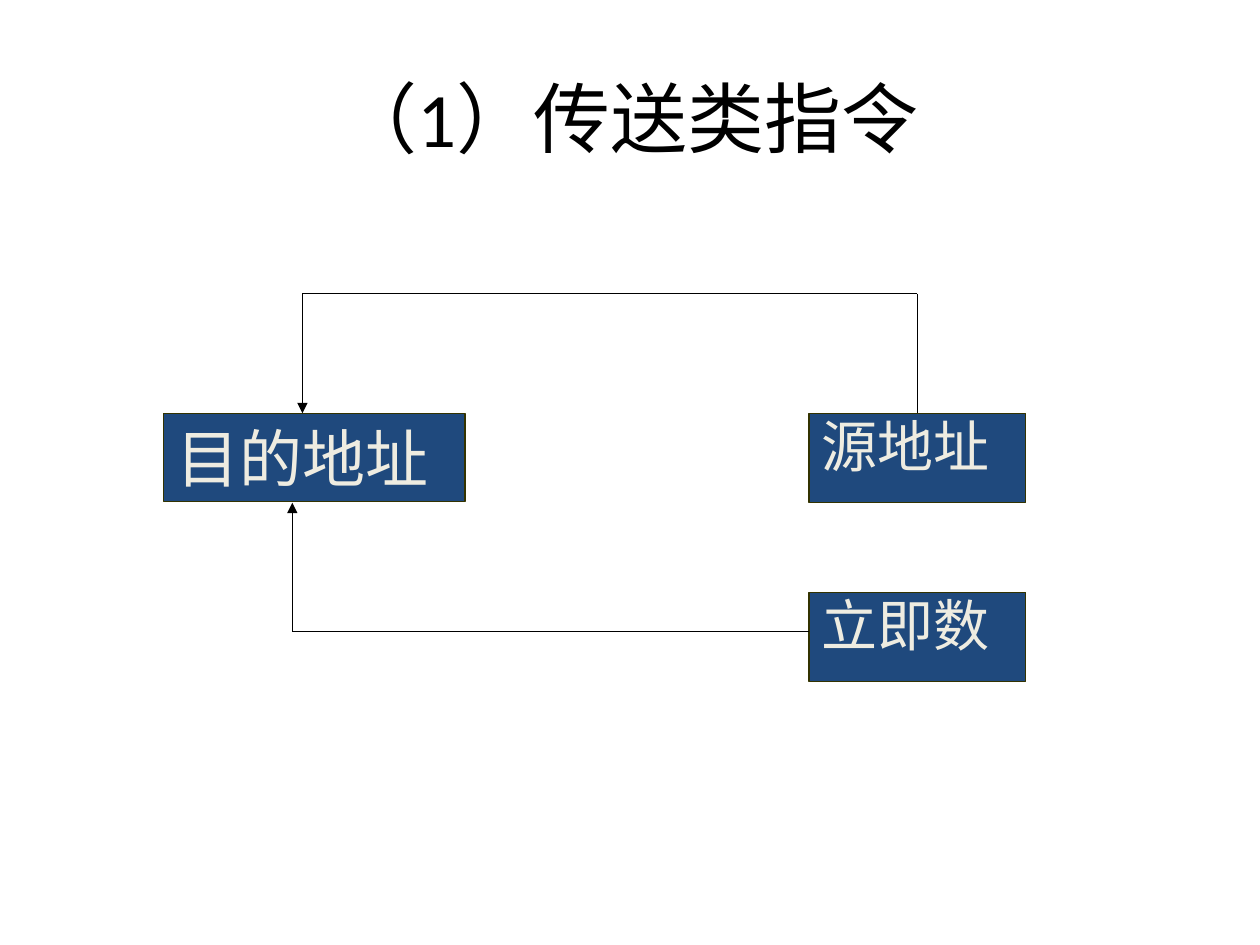
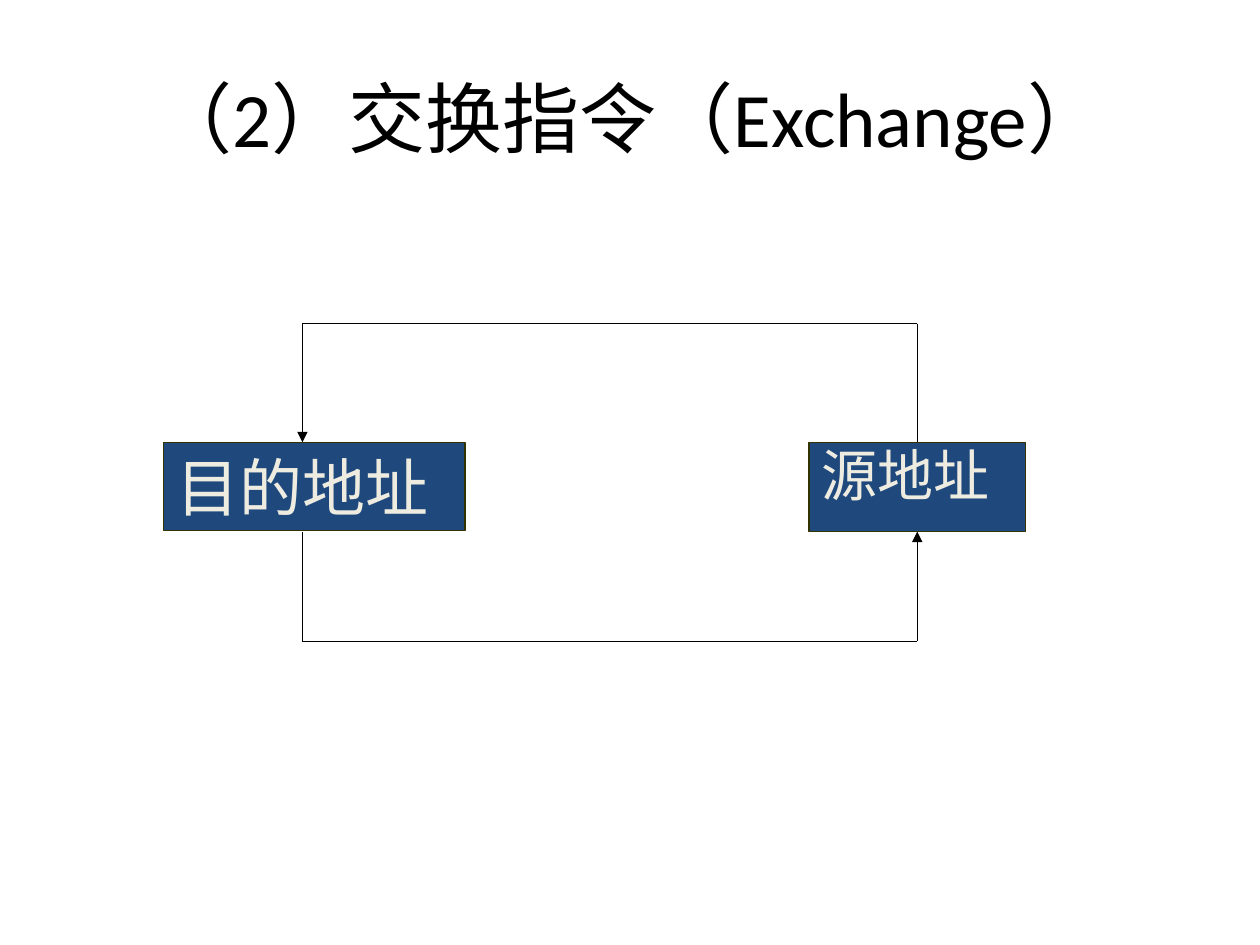
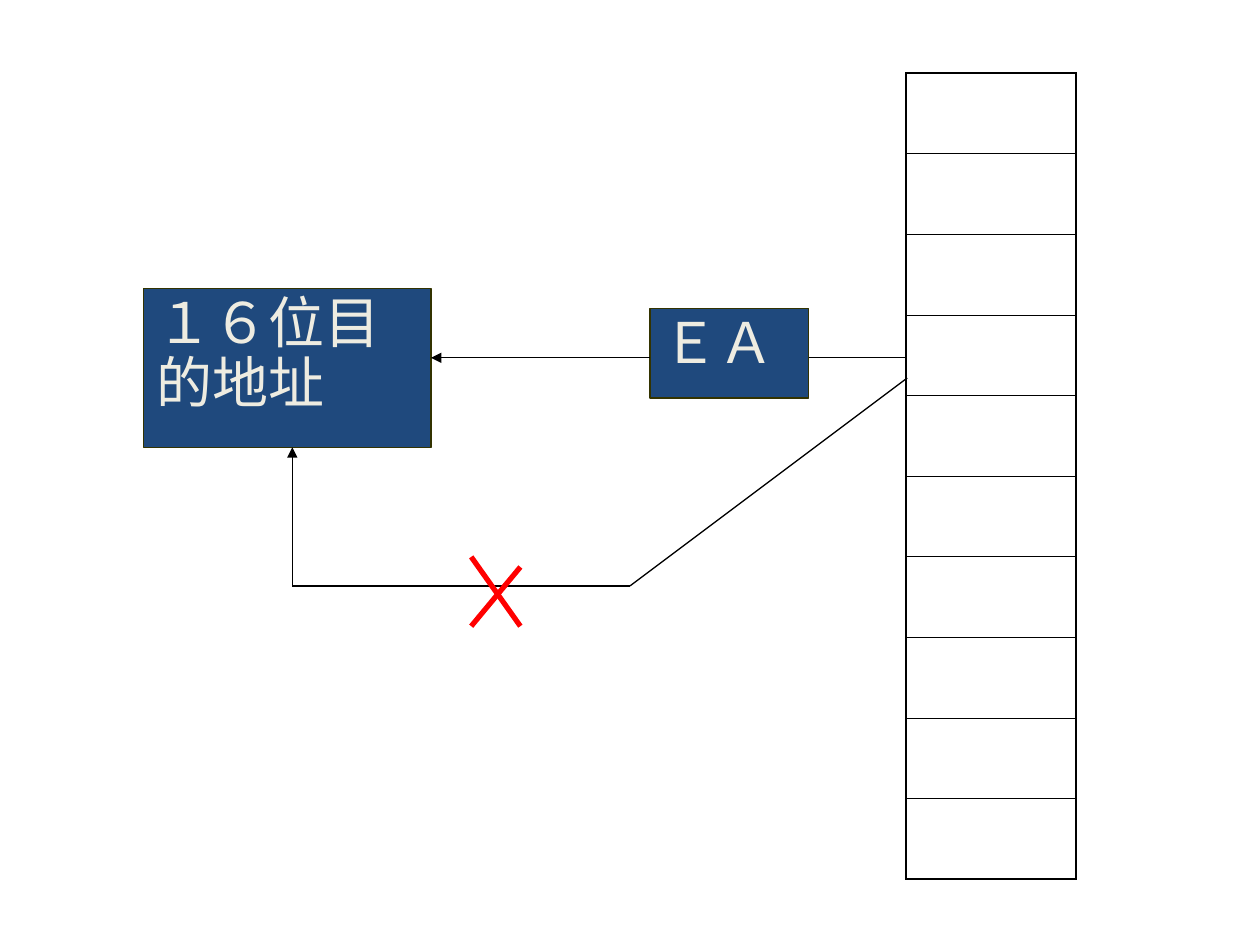
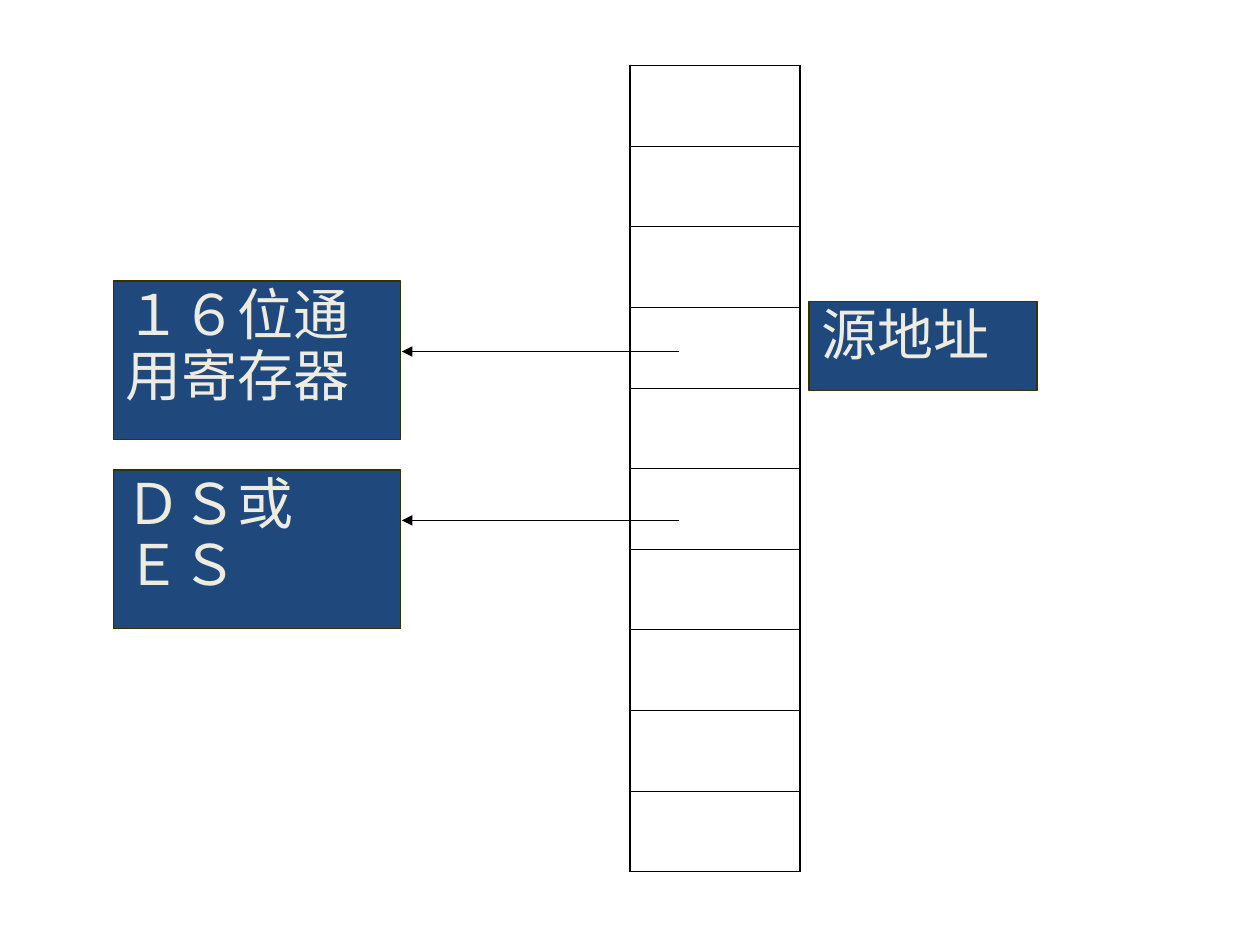
"""Build four slides on data transfer and exchange instructions."""
from itertools import pairwise

from lxml.etree import SubElement
from pptx import Presentation
from pptx.dml.color import RGBColor
from pptx.enum.shapes import MSO_CONNECTOR as CONNECTOR, MSO_SHAPE as SHAPE
from pptx.enum.text import MSO_ANCHOR as ANCHOR, PP_ALIGN as ALIGN
from pptx.oxml.ns import qn
from pptx.util import Inches, Pt

COLORS = {
    "box": "1F497D",
    "box_line": "333300",
    "box_text": "EEECE1",
    "ink": "000000",
    "cross": "FF0000",
}
TITLE_AREA = (0.5, 0.3, 9, 1.25)
TOP, BOTTOM = 0, 2
MEMORY_ROWS, ROW_HEIGHT, MEMORY_WIDTH = 10, 0.64, 1.35
OUTER_BORDER, INNER_BORDER = 1.08, 0.45

SLIDES = [
    {
        "title": "（1）传送类指令",
        "boxes": {
            "destination": ("目的地址", (1.3, 3.28, 2.39, 0.7), 36, 1.0),
            "source": ("源地址", (6.42, 3.28, 1.72, 0.71), 32, 0.9),
            "immediate": ("立即数", (6.42, 4.7, 1.72, 0.71), 32, 0.9),
        },
        "arrows": [
            {"points": [(7.28, 3.28), (7.28, 2.33), (2.4, 2.33), (2.4, 3.28)],
             "begin": ("source", TOP)},
            {"points": [(6.42, 5.01), (2.32, 5.01), (2.32, 3.99)]},
        ],
    },
    {
        "title": "（2）交换指令（Exchange）",
        "boxes": {
            "destination": ("目的地址", (1.3, 3.51, 2.39, 0.7), 36, 1.0),
            "source": ("源地址", (6.42, 3.51, 1.72, 0.71), 32, 0.9),
        },
        "arrows": [
            {"points": [(7.28, 3.51), (7.28, 2.57), (2.4, 2.57), (2.4, 3.51)],
             "begin": ("source", TOP)},
            {"points": [(2.4, 4.22), (2.4, 5.09), (7.28, 5.09), (7.28, 4.22)],
             "end": ("source", BOTTOM)},
        ],
    },
    {
        "memory": (7.19, 0.58),
        "boxes": {
            "destination": ("１６位目的地址", (1.14, 2.29, 2.28, 1.26), 32, 0.9),
            "address": ("ＥＡ", (5.16, 2.45, 1.26, 0.71), 32, 0.9),
        },
        "lines": [((6.42, 2.84), (7.2, 2.84))],
        "arrows": [
            {"points": [(5.16, 2.84), (3.42, 2.84)]},
            {"points": [(7.2, 3), (5, 4.65), (2.32, 4.65), (2.32, 3.55)]},
        ],
        "cross": [((3.74, 4.42), (4.13, 4.97)), ((4.13, 4.5), (3.74, 4.97))],
    },
    {
        "memory": (5, 0.52),
        "boxes": {
            "register": ("１６位通用寄存器", (0.9, 2.23, 2.28, 1.26), 32, 0.9),
            "segment": ("ＤＳ或\nＥＳ", (0.9, 3.73, 2.28, 1.26), 32, 0.9),
            "source": ("源地址", (6.42, 2.39, 1.81, 0.71), 32, 0.9),
        },
        "arrows": [{"points": [(5.39, y), (3.19, y)]} for y in (2.79, 4.13)],
    },
]


def color(name):
    return RGBColor.from_string(COLORS[name])


def write(frame, text, font, size, color_name, align, spacing=1.0):
    frame.word_wrap = True
    frame.text = text
    for paragraph in frame.paragraphs:
        paragraph.alignment = align
        paragraph.line_spacing = spacing
        paragraph.font.name = font
        paragraph.font.size = Pt(size)
        paragraph.font.color.rgb = color(color_name)


def add_title(slide, text):
    frame = slide.shapes.add_textbox(*map(Inches, TITLE_AREA)).text_frame
    write(frame, text, "Calibri", 44, "ink", ALIGN.CENTER)
    frame.vertical_anchor = ANCHOR.MIDDLE


def add_box(slide, text, area, size, spacing):
    box = slide.shapes.add_shape(SHAPE.RECTANGLE, *map(Inches, area))
    box.shadow.inherit = False
    box.fill.solid()
    box.fill.fore_color.rgb = color("box")
    box.line.color.rgb = color("box_line")
    box.line.width = Pt(0.75)
    write(box.text_frame, text, "Arial", size, "box_text", ALIGN.LEFT, spacing)
    box.text_frame.vertical_anchor = ANCHOR.TOP
    return box


def add_line(slide, start, end, color_name="ink", width=0.75):
    line = slide.shapes.add_connector(CONNECTOR.STRAIGHT, *map(Inches, start + end))
    line.line.color.rgb = color(color_name)
    line.line.width = Pt(width)
    SubElement(line.element.spPr, qn("a:effectLst"))
    return line


def add_arrow(slide, boxes, points, begin=None, end=None):
    segments = [add_line(slide, *pair) for pair in pairwise(points)]
    SubElement(segments[-1].line._get_or_add_ln(), qn("a:tailEnd"), type="triangle")
    if begin:
        segments[0].begin_connect(boxes[begin[0]], begin[1])
    if end:
        segments[-1].end_connect(boxes[end[0]], end[1])


def set_borders(cell, widths):
    properties = cell._tc.get_or_add_tcPr()
    for side, width in widths.items():
        border = SubElement(properties, qn(f"a:ln{side}"), w=str(Pt(width)))
        fill = SubElement(border, qn("a:solidFill"))
        SubElement(fill, qn("a:srgbClr"), val=COLORS["ink"])


def add_memory(slide, left, top):
    area = (left, top, MEMORY_WIDTH, MEMORY_ROWS * ROW_HEIGHT)
    table = slide.shapes.add_table(MEMORY_ROWS, 1, *map(Inches, area)).table
    table.first_row = table.horz_banding = False
    for index in range(MEMORY_ROWS):
        cell = table.cell(index, 0)
        set_borders(cell, {
            "L": OUTER_BORDER,
            "R": OUTER_BORDER,
            "T": OUTER_BORDER if index == 0 else INNER_BORDER,
            "B": OUTER_BORDER if index == MEMORY_ROWS - 1 else INNER_BORDER,
        })
        cell.fill.background()


def build_slide(presentation, content):
    slide = presentation.slides.add_slide(presentation.slide_layouts[6])
    if "title" in content:
        add_title(slide, content["title"])
    if "memory" in content:
        add_memory(slide, *content["memory"])
    boxes = {name: add_box(slide, *box) for name, box in content["boxes"].items()}
    for start, end in content.get("lines", []):
        add_line(slide, start, end)
    for arrow in content["arrows"]:
        add_arrow(slide, boxes, **arrow)
    for start, end in content.get("cross", []):
        add_line(slide, start, end, "cross", 3)


def main():
    presentation = Presentation()
    presentation.slide_width, presentation.slide_height = Inches(10), Inches(7.5)
    for content in SLIDES:
        build_slide(presentation, content)
    presentation.save("out.pptx")


if __name__ == "__main__":
    main()
